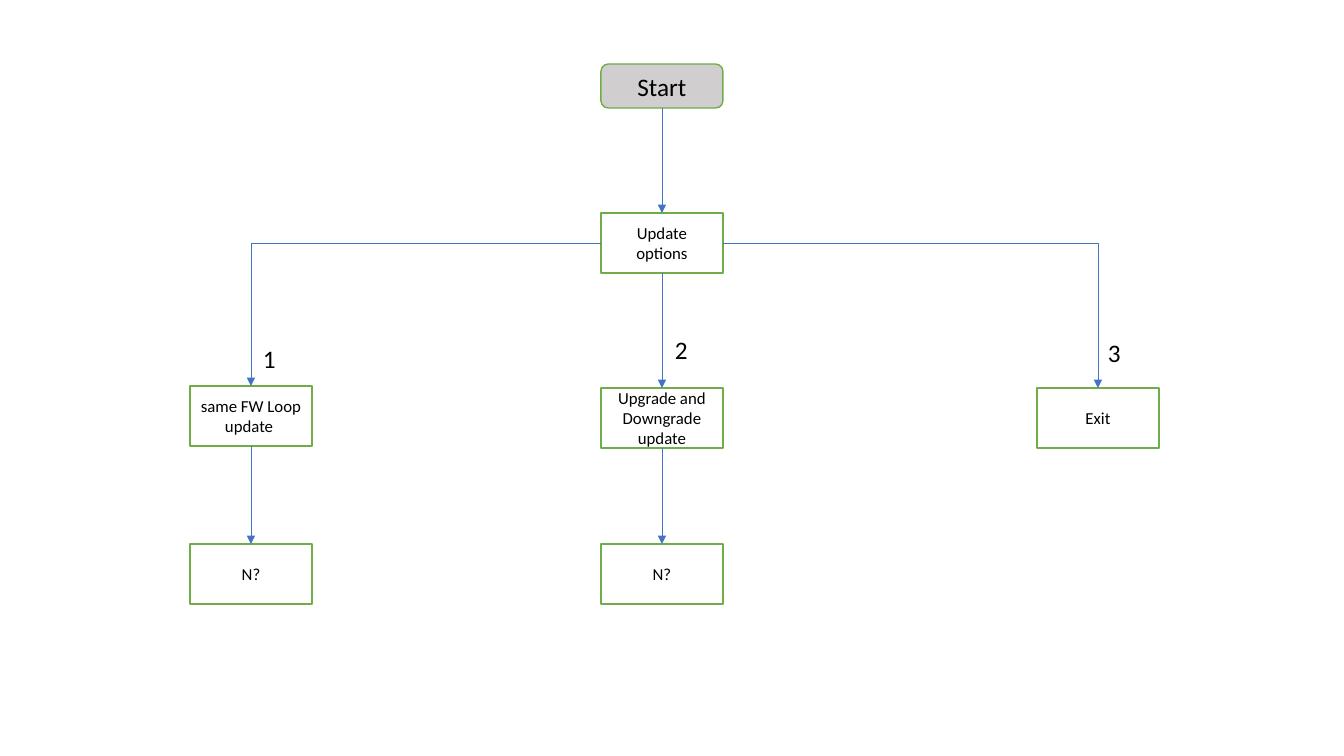
"""Build a flowchart slide of the firmware update options."""
import lxml.etree
import pptx
import pptx.dml.color
import pptx.enum.shapes
import pptx.enum.text
import pptx.oxml.ns
import pptx.util

PX = 914400 / 100.8
SHAPE = pptx.enum.shapes.MSO_SHAPE
CONNECTOR = pptx.enum.shapes.MSO_CONNECTOR
qn = pptx.oxml.ns.qn


def rgb(value):
    return pptx.dml.color.RGBColor.from_string(value)


def write(sp, text, size=12, align="CENTER", anchor="MIDDLE", wrap=True):
    tf = sp.text_frame
    tf.word_wrap = wrap
    tf.vertical_anchor = pptx.enum.text.MSO_ANCHOR[anchor]
    for i, line in enumerate(text.split("\n")):
        p = tf.paragraphs[0] if i == 0 else tf.add_paragraph()
        p.alignment = pptx.enum.text.PP_ALIGN[align]
        r = p.add_run()
        r.text = line
        r.font.name = "Calibri"
        r.font.size = pptx.util.Pt(size)
        r.font.color.rgb = rgb("000000")


prs = pptx.Presentation()
prs.slide_width = round(1344 * PX)
prs.slide_height = round(756 * PX)
s = prs.slides.add_slide(prs.slide_layouts[6])

LEFT, MIDDLE, RIGHT = 190, 601, 1037
BOX_W, BOX_H = 122, 60
nodes = [
    ("start", "Start", MIDDLE, 64, 44, SHAPE.ROUNDED_RECTANGLE, "D0CECE", 18),
    ("options", "Update options", MIDDLE, 213, BOX_H, SHAPE.RECTANGLE, "FFFFFF", 12),
    ("loop", "same FW Loop update ", LEFT, 386, BOX_H, SHAPE.RECTANGLE, "FFFFFF", 12),
    ("grade", "Upgrade and\nDowngrade update", MIDDLE, 388, BOX_H, SHAPE.RECTANGLE, "FFFFFF", 12),
    ("exit", "Exit", RIGHT, 388, BOX_H, SHAPE.RECTANGLE, "FFFFFF", 12),
    ("loop_n", "N?", LEFT, 544, BOX_H, SHAPE.RECTANGLE, "FFFFFF", 12),
    ("grade_n", "N?", MIDDLE, 544, BOX_H, SHAPE.RECTANGLE, "FFFFFF", 12),
]
boxes = {}
for name, text, x, y, h, kind, fill, size in nodes:
    sp = s.shapes.add_shape(kind, *(round(v * PX) for v in (x, y, BOX_W, h)))
    sp.shadow.inherit = False
    sp.fill.solid()
    sp.fill.fore_color.rgb = rgb(fill)
    sp.line.color.rgb = rgb("70AD47")
    sp.line.width = pptx.util.Pt(1)
    write(sp, text, size=size)
    boxes[name] = sp

TOP_SIDE, LEFT_SIDE, BOTTOM_SIDE, RIGHT_SIDE = range(4)
arrows = [
    ("start", BOTTOM_SIDE, "options"),
    ("options", LEFT_SIDE, "loop"),
    ("options", BOTTOM_SIDE, "grade"),
    ("options", RIGHT_SIDE, "exit"),
    ("loop", BOTTOM_SIDE, "loop_n"),
    ("grade", BOTTOM_SIDE, "grade_n"),
]
for source, side, target in arrows:
    bent = side != BOTTOM_SIDE
    c = s.shapes.add_connector(CONNECTOR.ELBOW if bent else CONNECTOR.STRAIGHT, 0, 0, 0, 0)
    c.begin_connect(boxes[source], side)
    c.end_connect(boxes[target], TOP_SIDE)
    c.line.color.rgb = rgb("4472C4")
    c.line.width = pptx.util.Pt(0.5)
    spPr = c._element.spPr
    if bent:
        spPr.find(qn("a:prstGeom")).set("prst", "bentConnector2")
    lxml.etree.SubElement(spPr.find(qn("a:ln")), qn("a:tailEnd"), type="triangle")
    lxml.etree.SubElement(spPr, qn("a:effectLst"))

for text, x, y in [("1", 253, 338), ("2", 665, 329), ("3", 1098, 332)]:
    sp = s.shapes.add_textbox(*(round(v * PX) for v in (x, y, 33, 40)))
    write(sp, text, size=18, align="LEFT", anchor="TOP", wrap=False)
    sp.text_frame.auto_size = pptx.enum.text.MSO_AUTO_SIZE.SHAPE_TO_FIT_TEXT

prs.save("out.pptx")
